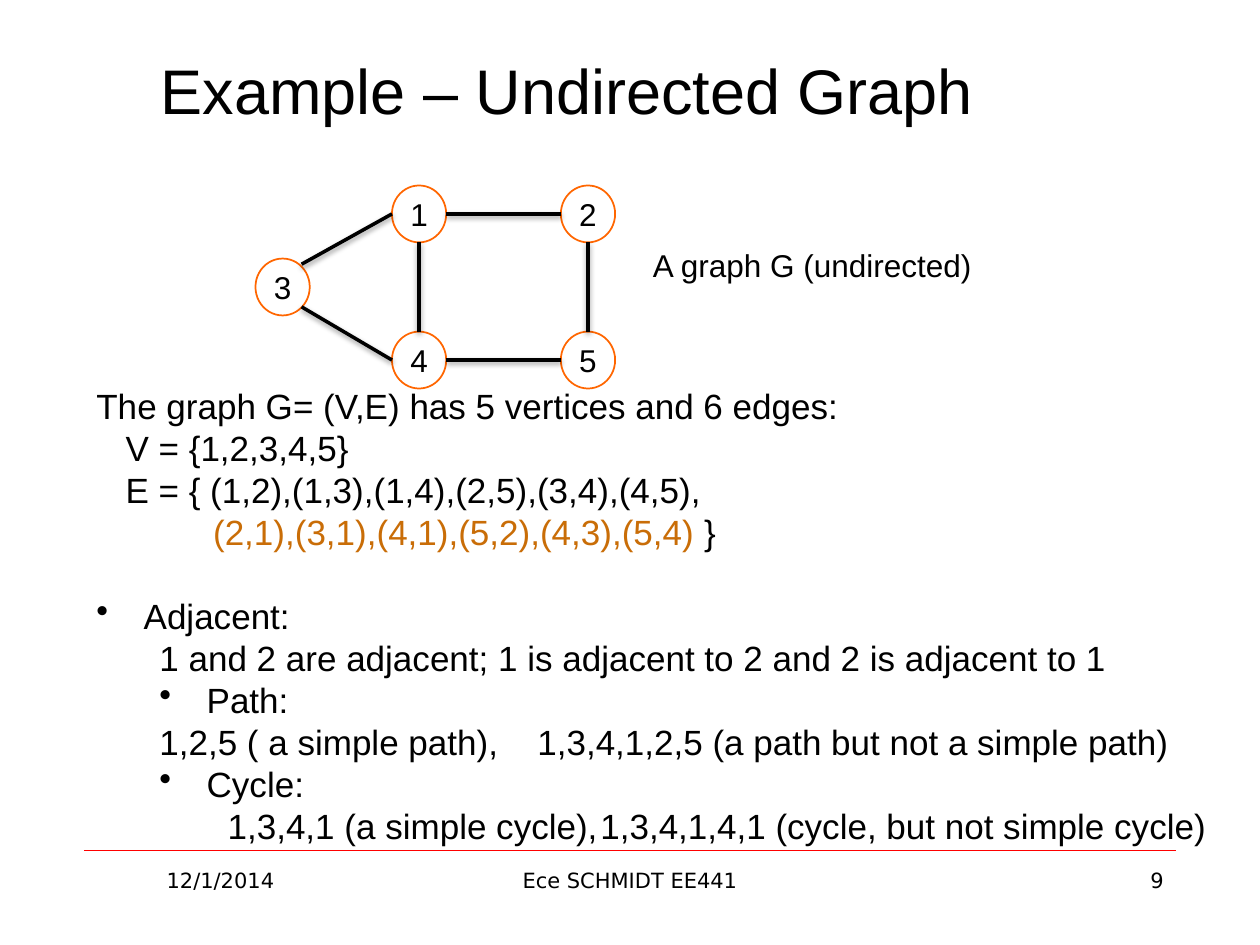
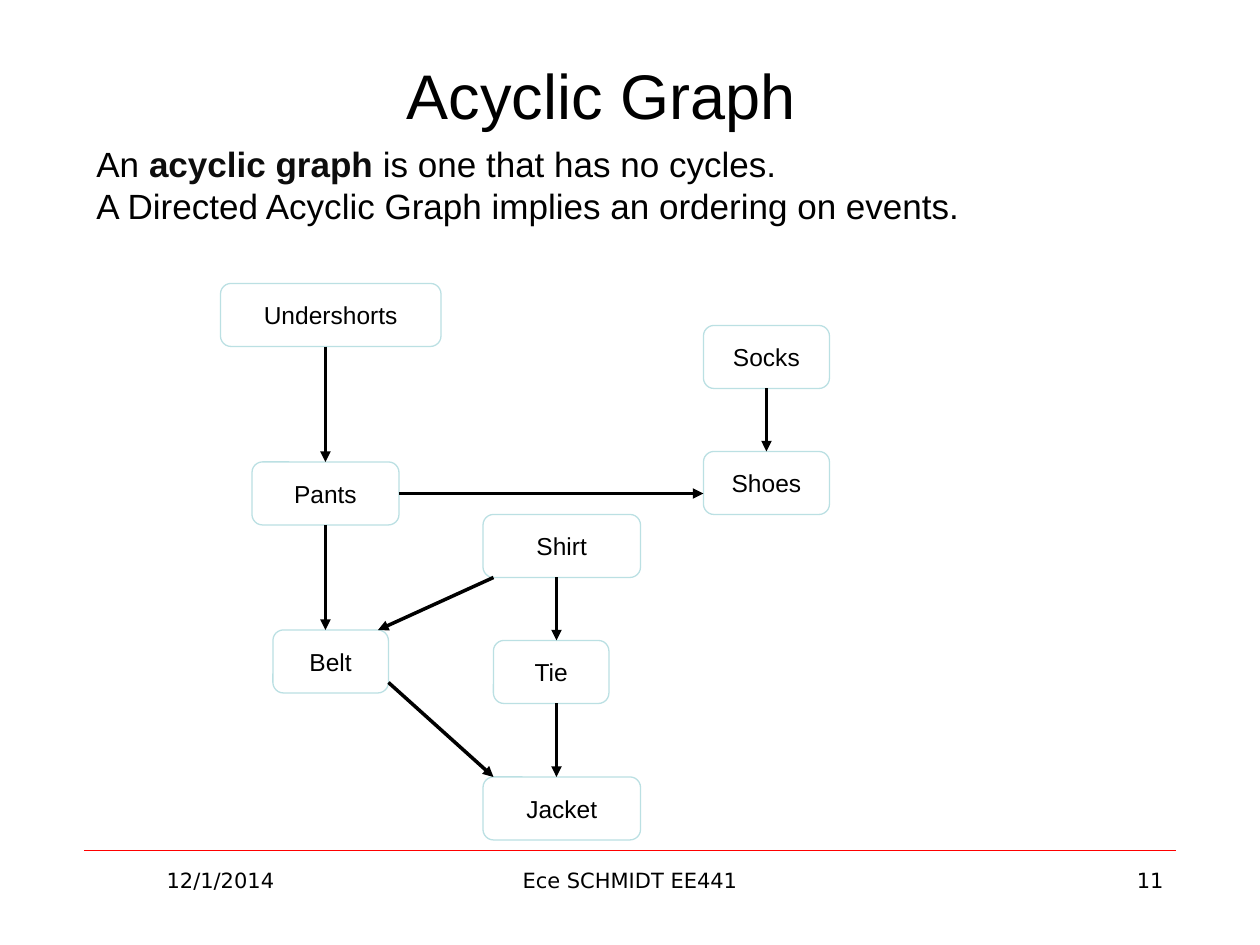
from pptx import Presentation
from pptx.dml.color import RGBColor
from pptx.enum.shapes import MSO_CONNECTOR, MSO_SHAPE
from pptx.enum.text import MSO_ANCHOR, PP_ALIGN
from pptx.oxml.ns import qn
from pptx.util import Pt
from lxml import etree

LEFT, CENTER, RIGHT = PP_ALIGN.LEFT, PP_ALIGN.CENTER, PP_ALIGN.RIGHT
TOP, MIDDLE = MSO_ANCHOR.TOP, MSO_ANCHOR.MIDDLE
STRAIGHT = MSO_CONNECTOR.STRAIGHT
OVAL, ROUNDED = MSO_SHAPE.OVAL, MSO_SHAPE.ROUNDED_RECTANGLE

COLORS = {
    "text": "000000",
    "strong": "0D0D0D",
    "reverse": "C96D07",
    "paper": "FFFFFF",
    "vertex": "FF6600",
    "garment": "BBE0E3",
    "rule": "FF0000",
}
BODY_FORMAT = {"size": 20, "line_spacing": 24}


def write(shape, text, size=18, font="Arial", color="text", align=LEFT, anchor=TOP,
          wrap=True, indent=0, bullet=False, tab=None, space_before=0, line_spacing=None):
    """Add one paragraph; text is a string or a list of (text, color, bold) runs."""
    frame = shape.text_frame
    frame.word_wrap = wrap
    frame.vertical_anchor = anchor
    paragraph = frame.paragraphs[0] if not frame.text else frame.add_paragraph()
    properties = paragraph._p.get_or_add_pPr()
    hanging = 27 if bullet else 0
    properties.set("marL", str(Pt(indent + hanging) if bullet else 0))
    properties.set("indent", str(Pt(-hanging if bullet else indent)))
    if bullet:
        etree.SubElement(properties, qn("a:buChar"), char="•")
    else:
        etree.SubElement(properties, qn("a:buNone"))
    if tab:
        tabs = etree.SubElement(properties, qn("a:tabLst"))
        etree.SubElement(tabs, qn("a:tab"), pos=str(Pt(tab)), algn="l")
    paragraph.alignment = align
    if space_before:
        paragraph.space_before = Pt(space_before)
    if line_spacing:
        paragraph.line_spacing = Pt(line_spacing)
    runs = [(text, color, False)] if isinstance(text, str) else text
    for run_text, run_color, bold in runs:
        run = paragraph.add_run()
        run.text = run_text
        run.font.name = font
        run.font.size = Pt(size)
        run.font.bold = bold
        run.font.color.rgb = RGBColor.from_string(COLORS[run_color])


def draw_line(slide, start, end, color="text", width=2, arrow=False, shadow=False):
    line = slide.shapes.add_connector(STRAIGHT, *map(Pt, start + end))
    line.line.color.rgb = RGBColor.from_string(COLORS[color])
    line.line.width = Pt(width)
    if arrow:
        etree.SubElement(line.line._get_or_add_ln(), qn("a:tailEnd"), type="triangle")
    effects = etree.SubElement(line._element.spPr, qn("a:effectLst"))
    if shadow:
        outer = etree.SubElement(effects, qn("a:outerShdw"), blurRad=str(Pt(3.1)),
                                 dist=str(Pt(1.6)), dir="5400000", rotWithShape="0")
        shade = etree.SubElement(outer, qn("a:srgbClr"), val=COLORS["text"])
        etree.SubElement(shade, qn("a:alpha"), val="38000")


presentation = Presentation()
presentation.slide_width = Pt(720)
presentation.slide_height = Pt(540)

# Shared frame: title, rule and footer
slides = []
for title, title_box, number in [
    ("Example – Undirected Graph", (42, 12, 564, 78), "9"),
    ("Acyclic Graph", (90, 0, 507, 108), "11"),
]:
    slide = presentation.slides.add_slide(presentation.slide_layouts[6])
    slides.append(slide)
    draw_line(slide, (48, 486), (672, 486), color="rule", width=0.25)
    box = slide.shapes.add_textbox(*map(Pt, title_box))
    write(box, title, size=36, align=CENTER, anchor=MIDDLE)
    for text, left, width, align in [
        ("12/1/2014", 48, 156, CENTER),
        ("Ece SCHMIDT EE441", 246, 228, CENTER),
        (number, 516, 156, RIGHT),
    ]:
        box = slide.shapes.add_textbox(Pt(left), Pt(492), Pt(width), Pt(37))
        write(box, text, size=12, font="DejaVu Sans", align=align)

undirected_slide, acyclic_slide = slides

# Undirected graph
caption = undirected_slide.shapes.add_textbox(Pt(366), Pt(137), Pt(210), Pt(29))
write(caption, "A graph G (undirected)")

body = undirected_slide.shapes.add_textbox(Pt(48), Pt(216), Pt(672), Pt(274))
for text, options in [
    ("The graph G= (V,E) has 5 vertices and 6 edges:", {}),
    ("V = {1,2,3,4,5}", {"indent": 16.7}),
    ("E = { (1,2),(1,3),(1,4),(2,5),(3,4),(4,5),", {"indent": 16.7}),
    ([("(2,1),(3,1),(4,1),(5,2),(4,3),(5,4) ", "reverse", False), ("}", "text", False)],
     {"indent": 66.7}),
    ("Adjacent:", {"bullet": True, "space_before": 24}),
    ("1 and 2 are adjacent; 1 is adjacent to 2 and 2 is adjacent to 1", {"indent": 36}),
    ("Path:", {"bullet": True, "indent": 36}),
    ("1,2,5 ( a simple path),\t1,3,4,1,2,5 (a path but not a simple path)",
     {"indent": 36, "tab": 257}),
    ("Cycle:", {"bullet": True, "indent": 36}),
    ("1,3,4,1 (a simple cycle),\t1,3,4,1,4,1 (cycle, but not simple cycle)",
     {"indent": 75, "tab": 297}),
]:
    write(body, text, **BODY_FORMAT, **options)

VERTEX_WIDTH, VERTEX_HEIGHT = 31, 32.5
vertices = {"1": (224, 106), "4": (224, 189.5), "2": (320.5, 106),
            "5": (320.5, 189.5), "3": (146, 147.75)}
for label, (left, top) in vertices.items():
    vertex = undirected_slide.shapes.add_shape(
        OVAL, Pt(left), Pt(top), Pt(VERTEX_WIDTH), Pt(VERTEX_HEIGHT))
    vertex.shadow.inherit = False
    vertex.fill.solid()
    vertex.fill.fore_color.rgb = RGBColor.from_string(COLORS["paper"])
    vertex.line.color.rgb = RGBColor.from_string(COLORS["vertex"])
    vertex.line.width = Pt(1)
    write(vertex, label, align=CENTER, anchor=MIDDLE, wrap=False)

# Where an edge meets a vertex, as fractions of its width and height
sides = {"top": (0.5, 0), "bottom": (0.5, 1), "left": (0, 0.5), "right": (1, 0.5),
         "upper right": (0.85, 0.1), "lower right": (0.85, 0.85)}
for first, first_side, second, second_side in [
    ("1", "bottom", "4", "top"),
    ("3", "upper right", "1", "left"),
    ("3", "lower right", "4", "left"),
    ("4", "right", "5", "left"),
    ("2", "bottom", "5", "top"),
    ("1", "right", "2", "left"),
]:
    start, end = [
        (vertices[label][0] + sides[side][0] * VERTEX_WIDTH,
         vertices[label][1] + sides[side][1] * VERTEX_HEIGHT)
        for label, side in ((first, first_side), (second, second_side))
    ]
    draw_line(undirected_slide, start, end, shadow=True)

# Acyclic graph
for label, left, top, width in [
    ("Socks", 402, 186, 72),
    ("Shoes", 402, 258, 72),
    ("Undershorts", 126, 162, 126),
    ("Pants", 144, 264, 84),
    ("Belt", 156, 360, 66),
    ("Tie", 282, 366, 66),
    ("Shirt", 276, 294, 90),
    ("Jacket", 276, 444, 90),
]:
    garment = acyclic_slide.shapes.add_shape(ROUNDED, Pt(left), Pt(top), Pt(width), Pt(36))
    garment.shadow.inherit = False
    garment.fill.solid()
    garment.fill.fore_color.rgb = RGBColor.from_string(COLORS["paper"])
    garment.line.color.rgb = RGBColor.from_string(COLORS["garment"])
    garment.line.width = Pt(0.75)
    write(garment, label, size=14, align=CENTER, anchor=MIDDLE, wrap=False)

for start, end in [
    ((186, 198), (186, 264)),
    ((186, 300), (186, 360)),
    ((318, 330), (318, 366)),
    ((318, 402), (318, 444)),
    ((282, 330), (216, 360)),
    ((222, 390), (282, 444)),
    ((438, 222), (438, 258)),
    ((228, 282), (402, 282)),
]:
    draw_line(acyclic_slide, start, end, arrow=True)

definition = acyclic_slide.shapes.add_textbox(Pt(48), Pt(78), Pt(624), Pt(89))
for text in [
    [("An ", "text", False), ("acyclic graph ", "strong", True),
     ("is one that has no cycles.", "text", False)],
    "A Directed Acyclic Graph implies an ordering on events.",
]:
    write(definition, text, **BODY_FORMAT)

presentation.save("out.pptx")
